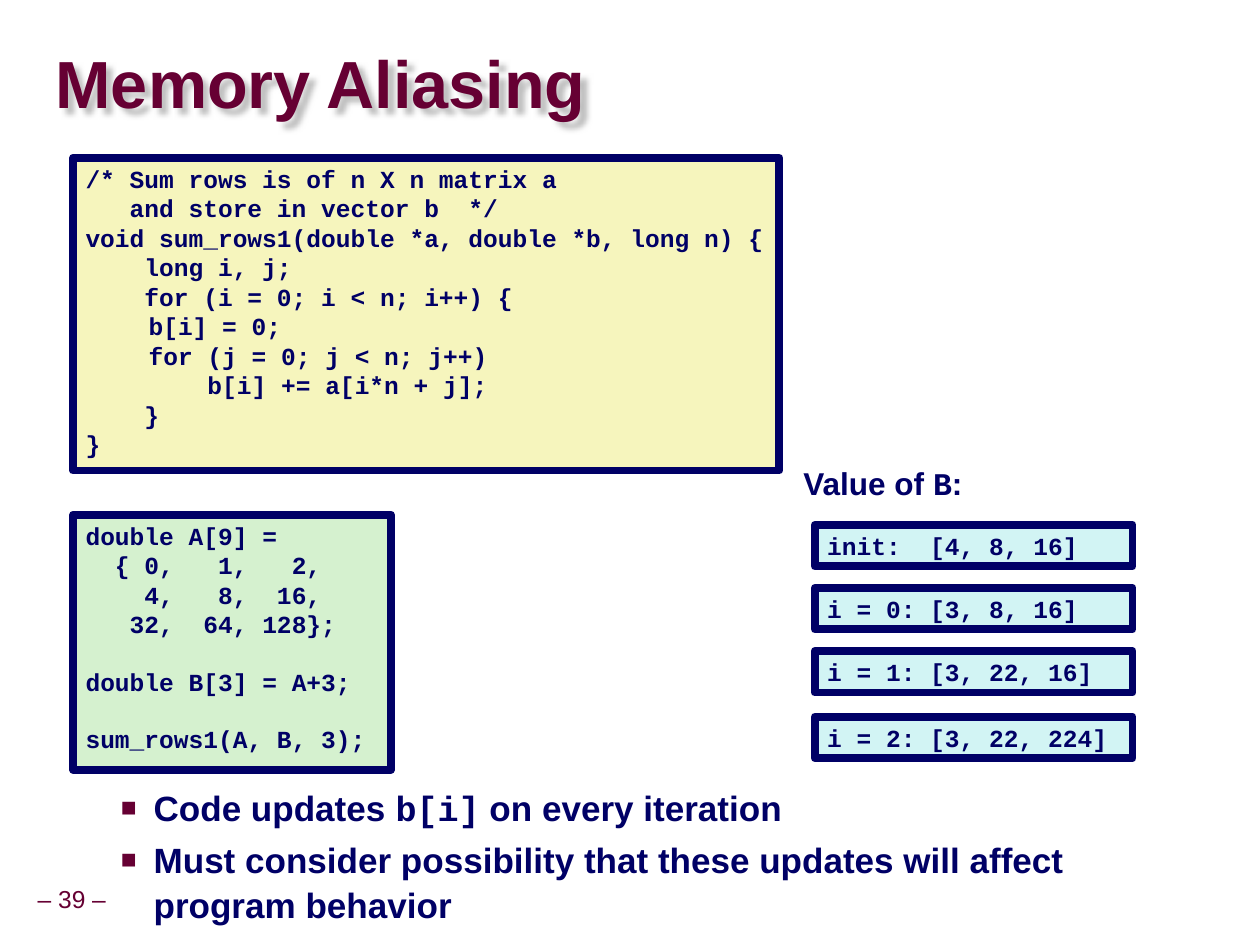
"""Build the Memory Aliasing slide."""
from dataclasses import dataclass
from typing import Optional

from lxml import etree
from pptx import Presentation
from pptx import util as u
from pptx.dml.color import RGBColor
from pptx.enum import shapes, text
from pptx.oxml import ns

PX = 9144
NAVY = RGBColor(0x00, 0x00, 0x66)
MAROON = RGBColor(0x66, 0x00, 0x33)
YELLOW = RGBColor(0xF6, 0xF5, 0xBD)
GREEN = RGBColor(0xD5, 0xF1, 0xCF)
CYAN = RGBColor(0xD2, 0xF4, 0xF4)
SHADOW = RGBColor(0xC0, 0xC0, 0xC0)
SANS, MONO = "Arial", "Courier New"

SUM_ROWS = """/* Sum rows is of n X n matrix a
   and store in vector b  */
void sum_rows1(double *a, double *b, long n) {
    long i, j;
    for (i = 0; i < n; i++) {
\tb[i] = 0;
\tfor (j = 0; j < n; j++)
\t    b[i] += a[i*n + j];
    }
}"""
CALL = """double A[9] =
  { 0,   1,   2,
    4,   8,  16,
   32,  64, 128};

double B[3] = A+3;

sum_rows1(A, B, 3);"""


@dataclass(frozen=True)
class Run:
    """A stretch of text in one font."""
    text: str
    font: str = SANS


@dataclass(frozen=True)
class Box:
    """A place on the slide, in px."""
    left: int
    top: int
    width: int
    height: int


@dataclass(frozen=True)
class Code:
    """A framed block of code."""
    box: Box
    fill: RGBColor
    source: str
    wrap: bool = True


@dataclass(frozen=True)
class Label:
    """A free text box."""
    box: Box
    paragraphs: tuple[tuple[Run, ...], ...]
    size: int
    color: RGBColor = NAVY
    bold: bool = True
    spacing: float = 0.9
    inset: tuple[int, int] = (5, 5)
    wrap: bool = False
    middle: bool = False
    align: text.PP_ALIGN = text.PP_ALIGN.LEFT
    bullet: Optional[str] = None
    shadow: bool = False


CODES = (
    Code(Box(58, 125, 560, 248), YELLOW, SUM_ROWS, wrap=False),
    Code(Box(58, 408, 252, 202), GREEN, CALL),
    *(Code(Box(646, top, 252, 33), CYAN, source) for top, source in (
        (416, "init:  [4, 8, 16]"),
        (466, "i = 0: [3, 8, 16]"),
        (516, "i = 1: [3, 22, 16]"),
        (568, "i = 2: [3, 22, 224]"),
    )),
)
LABELS = (
    Label(Box(23, 698, 68, 32), ((Run("– 39 –"),),), 14, MAROON, bold=False,
          middle=True, align=text.PP_ALIGN.CENTER),
    Label(Box(44, 27, 952, 85), ((Run("Memory Aliasing"),),), 38, MAROON,
          spacing=0.87, inset=(0, 0), wrap=True, middle=True, shadow=True),
    Label(Box(632, 366, 137, 38),
          ((Run("Value of "), Run("B", MONO), Run(":")),), 18),
    Label(Box(32, 616, 907, 88), (
        (Run("Code updates "), Run("b[i]", MONO), Run(" on every iteration")),
        (Run("Must consider possibility that these updates will affect program behavior"),),
    ), 20, spacing=1.07, inset=(10, 5), wrap=True, bullet="■"),
)


def place(box: Box) -> tuple[int, int, int, int]:
    """Turn a box into EMU."""
    return box.left * PX, box.top * PX, box.width * PX, box.height * PX


def set_frame(tf, inset: tuple[int, int], wrap: bool, middle: bool = False) -> None:
    """Set the margins, wrapping and anchor of a text frame."""
    tf.margin_left = tf.margin_right = inset[0] * PX
    tf.margin_top = tf.margin_bottom = inset[1] * PX
    tf.word_wrap = wrap
    tf.vertical_anchor = text.MSO_ANCHOR.MIDDLE if middle else text.MSO_ANCHOR.TOP


def add_run(p, run: Run, size: int, color: RGBColor, bold: bool) -> None:
    """Append one formatted run."""
    r = p.add_run()
    r.text = run.text
    r.font.name, r.font.size, r.font.bold = run.font, u.Pt(size), bold
    r.font.color.rgb = color


def add_bullet(p, char: str) -> None:
    """Give a paragraph a hanging maroon bullet."""
    pPr = p._p.get_or_add_pPr()
    pPr.set("marL", str(80 * PX))
    pPr.set("indent", str(-26 * PX))
    clr = etree.SubElement(pPr, ns.qn("a:buClr"))
    etree.SubElement(clr, ns.qn("a:srgbClr"), val=str(MAROON))
    etree.SubElement(pPr, ns.qn("a:buSzPct"), val="75000")
    etree.SubElement(pPr, ns.qn("a:buFont"), typeface=SANS)
    etree.SubElement(pPr, ns.qn("a:buChar"), char=char)


def add_shadow(sp) -> None:
    """Cast a soft shadow down and to the right."""
    effects = etree.SubElement(sp._element.spPr, ns.qn("a:effectLst"))
    outer = etree.SubElement(effects, ns.qn("a:outerShdw"), blurRad=str(4 * PX),
                             dist=str(6 * PX), dir="2700000", algn="ctr")
    etree.SubElement(outer, ns.qn("a:srgbClr"), val=str(SHADOW))


def add_code(s, code: Code) -> None:
    """Draw a framed code block; an empty line becomes space before the next."""
    sp = s.shapes.add_shape(shapes.MSO_SHAPE.RECTANGLE, *place(code.box))
    sp.shadow.inherit = False
    sp.fill.solid()
    sp.fill.fore_color.rgb = code.fill
    sp.line.color.rgb = NAVY
    sp.line.width = u.Pt(4.5)
    tf = sp.text_frame
    set_frame(tf, (10, 5), code.wrap)
    gap = False
    for i, line in enumerate(code.source.split("\n")):
        if not line:
            gap = True
            continue
        p = tf.add_paragraph() if i else tf.paragraphs[0]
        p.alignment = text.PP_ALIGN.LEFT
        if gap:
            p.space_before = u.Pt(16)
        gap = False
        add_run(p, Run(line, MONO), 14, NAVY, True)


def add_label(s, label: Label) -> None:
    """Draw a text box with its paragraphs."""
    sp = s.shapes.add_textbox(*place(label.box))
    if label.shadow:
        add_shadow(sp)
    tf = sp.text_frame
    set_frame(tf, label.inset, label.wrap, label.middle)
    for i, runs in enumerate(label.paragraphs):
        p = tf.add_paragraph() if i else tf.paragraphs[0]
        if label.bullet:
            add_bullet(p, label.bullet)
        p.alignment = label.align
        p.line_spacing = label.spacing
        if i:
            p.space_before = u.Pt(4)
        for run in runs:
            add_run(p, run, label.size, label.color, label.bold)


def main() -> None:
    """Build and save the slide."""
    prs = Presentation()
    prs.slide_width, prs.slide_height = 999 * PX, 749 * PX
    s = prs.slides.add_slide(prs.slide_layouts[6])
    for code in CODES:
        add_code(s, code)
    for label in LABELS:
        add_label(s, label)
    prs.save("out.pptx")


if __name__ == "__main__":
    main()
